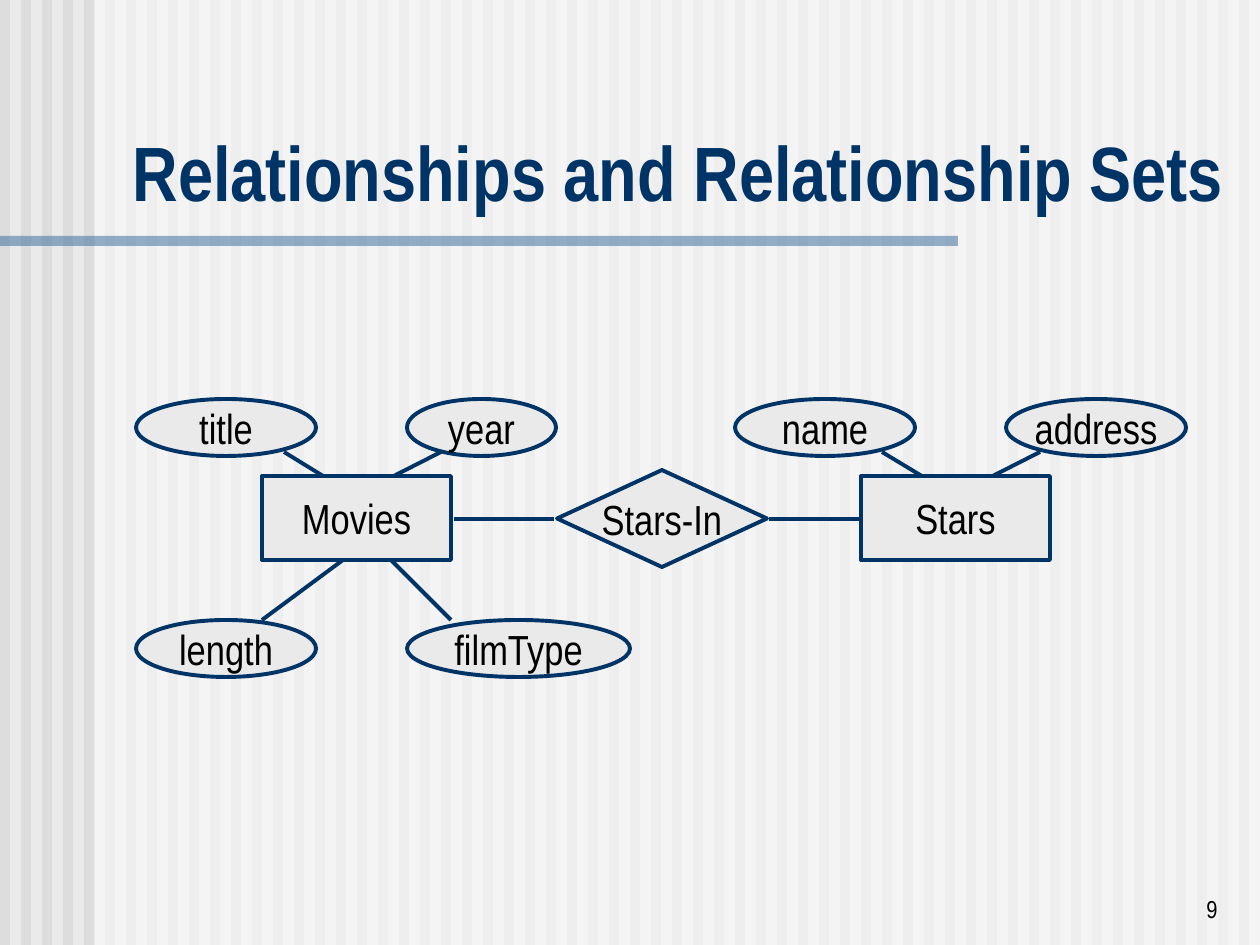
import dataclasses
import typing

import lxml.etree
import pptx
import pptx.dml.color
import pptx.enum.shapes
import pptx.enum.text
import pptx.oxml.ns
import pptx.shapes.autoshape
import pptx.shapes.shapetree
import pptx.util

Shape = pptx.enum.shapes.MSO_SHAPE
Align = pptx.enum.text.PP_ALIGN
Anchor = pptx.enum.text.MSO_ANCHOR
Canvas = pptx.shapes.shapetree.GroupShapes


@dataclasses.dataclass(frozen=True)
class Theme:
    font: str = "Arial Narrow"
    paper: str = "EAEAEA"
    stripe: str = "DDDDDD"
    veil: str = "FFFFFF"
    rule: str = "336699"
    navy: str = "003366"
    ink: str = "000000"
    title_size: int = 44
    label_size: int = 24
    number_size: int = 14
    line_width: float = 2.25


class Frame(typing.NamedTuple):
    left: int
    top: int
    width: int
    height: int


class Node(typing.NamedTuple):
    label: str
    kind: Shape
    frame: Frame


class Link(typing.NamedTuple):
    start: tuple[int, int]
    end: tuple[int, int]


THEME = Theme()
PX_PER_INCH = 126
PAGE = Frame(0, 0, 1260, 945)
STRIPE_PITCH = 21
STRIPE_WIDTH = 10

UPPER_TOP, LOWER_TOP = 399, 620
OVAL_WIDTH, OVAL_HEIGHT = 180, 57
ENTITY_TOP, ENTITY_WIDTH, ENTITY_HEIGHT = 476, 189, 84
MIDDLE = 519

MOVIE_LINKS = [
    Link((262, 620), (347, 557)),
    Link((451, 620), (388, 557)),
    Link((284, 452), (336, 484)),
    Link((441, 452), (378, 484)),
]
MOVIE_NODES = [
    Node("length", Shape.OVAL, Frame(136, LOWER_TOP, OVAL_WIDTH, OVAL_HEIGHT)),
    Node("filmType", Shape.OVAL, Frame(407, LOWER_TOP, 223, OVAL_HEIGHT)),
    Node("title", Shape.OVAL, Frame(136, UPPER_TOP, OVAL_WIDTH, OVAL_HEIGHT)),
    Node("year", Shape.OVAL, Frame(407, UPPER_TOP, 149, OVAL_HEIGHT)),
    Node("Movies", Shape.RECTANGLE, Frame(262, ENTITY_TOP, ENTITY_WIDTH, ENTITY_HEIGHT)),
]
STAR_LINKS = [
    Link((882, 452), (935, 484)),
    Link((1040, 452), (977, 484)),
]
STAR_NODES = [
    Node("name", Shape.OVAL, Frame(735, UPPER_TOP, OVAL_WIDTH, OVAL_HEIGHT)),
    Node("address", Shape.OVAL, Frame(1006, UPPER_TOP, OVAL_WIDTH, OVAL_HEIGHT)),
    Node("Stars", Shape.RECTANGLE, Frame(861, ENTITY_TOP, ENTITY_WIDTH, ENTITY_HEIGHT)),
]
RELATION_LINKS = [
    Link((554, MIDDLE), (454, MIDDLE)),
    Link((769, MIDDLE), (859, MIDDLE)),
]
RELATION_NODES = [Node("Stars-In", Shape.DIAMOND, Frame(557, 470, 210, 97))]


def emu(px: int) -> pptx.util.Emu:
    return pptx.util.Emu(px * pptx.util.Inches(1) // PX_PER_INCH)


def place(frame: Frame) -> tuple[pptx.util.Emu, ...]:
    return tuple(emu(length) for length in frame)


def color(code: str) -> pptx.dml.color.RGBColor:
    return pptx.dml.color.RGBColor.from_string(code)


def write(text_frame, text: str, size: int, ink: str, align: Align,
          anchor: Anchor, bold: bool = False, wrap: bool = True) -> None:
    text_frame.auto_size = pptx.enum.text.MSO_AUTO_SIZE.NONE
    text_frame.word_wrap = wrap
    text_frame.vertical_anchor = anchor
    para = text_frame.paragraphs[0]
    para.alignment = align
    span = para.add_run()
    span.text = text
    span.font.name = THEME.font
    span.font.size = pptx.util.Pt(size)
    span.font.bold = bold
    span.font.color.rgb = color(ink)


def add_filled(canvas: Canvas, kind: Shape, frame: Frame,
               fill: str) -> pptx.shapes.autoshape.Shape:
    shape = canvas.add_shape(kind, *place(frame))
    shape.shadow.inherit = False
    shape.fill.solid()
    shape.fill.fore_color.rgb = color(fill)
    shape.line.fill.background()
    return shape


def add_veil(canvas: Canvas, frame: Frame, fill: str) -> None:
    shape = add_filled(canvas, Shape.RECTANGLE, frame, fill)
    tint = shape.element.spPr.find(".//" + pptx.oxml.ns.qn("a:srgbClr"))
    lxml.etree.SubElement(tint, pptx.oxml.ns.qn("a:alpha"), val="50000")


def add_node(canvas: Canvas, node: Node) -> None:
    shape = add_filled(canvas, node.kind, node.frame, THEME.paper)
    shape.line.color.rgb = color(THEME.navy)
    shape.line.width = pptx.util.Pt(THEME.line_width)
    write(shape.text_frame, node.label, THEME.label_size, THEME.ink,
          Align.CENTER, Anchor.MIDDLE, wrap=False)


def add_link(canvas: Canvas, link: Link) -> None:
    connector = canvas.add_connector(
        pptx.enum.shapes.MSO_CONNECTOR.STRAIGHT,
        *(emu(length) for length in link.start + link.end))
    connector.line.color.rgb = color(THEME.navy)
    connector.line.width = pptx.util.Pt(THEME.line_width)
    lxml.etree.SubElement(connector.element.spPr, pptx.oxml.ns.qn("a:effectLst"))


def add_backdrop(page) -> None:
    page.background.fill.solid()
    page.background.fill.fore_color.rgb = color(THEME.paper)
    canvas = page.shapes.add_group_shape().shapes
    for left in range(0, PAGE.width, STRIPE_PITCH):
        add_filled(canvas, Shape.RECTANGLE,
                   Frame(left, 0, STRIPE_WIDTH, PAGE.height), THEME.stripe)
    add_veil(canvas, Frame(95, 0, PAGE.width - 95, PAGE.height), THEME.veil)
    add_veil(canvas, Frame(0, 236, 958, 10), THEME.rule)


def add_title(page, text: str) -> None:
    title = page.shapes.title
    title.left, title.top, title.width, title.height = place(Frame(120, 118, 1125, 105))
    write(title.text_frame, text, THEME.title_size, THEME.navy,
          Align.LEFT, Anchor.BOTTOM, bold=True)
    title.element.getparent().append(title.element)


def add_diagram(page, links: list[Link], nodes: list[Node]) -> None:
    canvas = page.shapes.add_group_shape().shapes
    for link in links:
        add_link(canvas, link)
    for node in nodes:
        add_node(canvas, node)


def main() -> None:
    """Build the slide on relationships between movies and stars."""
    deck = pptx.Presentation()
    deck.slide_width, deck.slide_height = emu(PAGE.width), emu(PAGE.height)
    page = deck.slides.add_slide(deck.slide_layouts.get_by_name("Title Only"))
    add_backdrop(page)
    add_title(page, "Relationships and Relationship Sets")
    add_diagram(page, MOVIE_LINKS, MOVIE_NODES)
    add_diagram(page, STAR_LINKS, STAR_NODES)
    add_diagram(page, RELATION_LINKS, RELATION_NODES)
    number_box = page.shapes.add_textbox(*place(Frame(968, 867, 262, 63)))
    write(number_box.text_frame, "9", THEME.number_size, THEME.ink,
          Align.RIGHT, Anchor.BOTTOM)
    deck.save("out.pptx")


if __name__ == "__main__":
    main()
